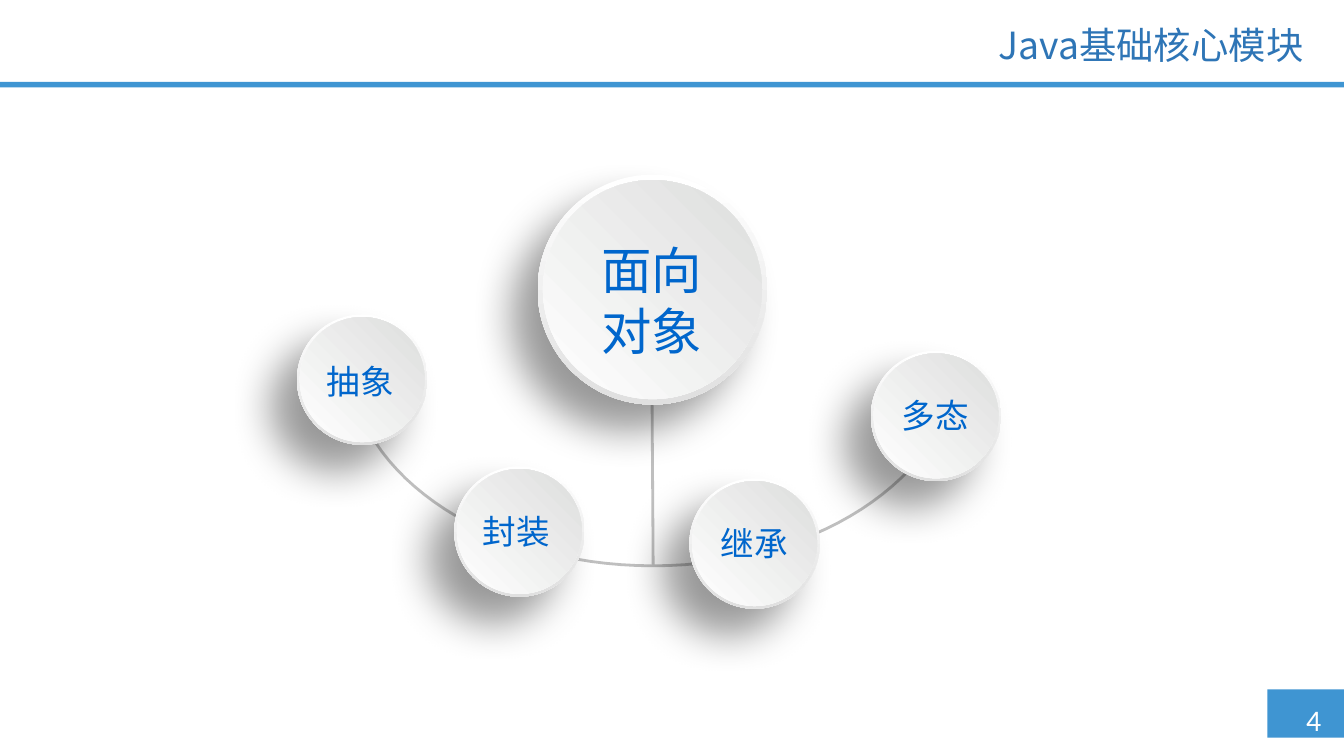
from pptx import Presentation
from pptx.dml.color import RGBColor
from pptx.enum.shapes import MSO_CONNECTOR as CONNECTOR, MSO_SHAPE as SHAPE
from pptx.enum.text import MSO_ANCHOR as ANCHOR, PP_ALIGN as ALIGN
from pptx.oxml import parse_xml
from pptx.oxml.ns import nsdecls, qn
from pptx.util import Inches, Pt

# Content
TITLE = "Java基础核心模块"
PAGE_NUMBER = "4"
# label, kind, disc left and top, label left and top
CONCEPTS = [
    ("面向对象", "hub", (4.00, 1.30), (4.31, 1.73)),
    ("抽象", "node", (2.21, 2.34), (2.14, 2.64)),
    ("封装", "node", (3.38, 3.47), (3.30, 3.75)),
    ("继承", "node", (5.13, 3.56), (5.07, 3.84)),
    ("多态", "node", (6.48, 2.61), (6.42, 2.89)),
]
DIAMETER = {"hub": 1.71, "node": 0.97}
RIM = {"hub": 0.04, "node": 0.02}
LABEL_WIDTH = 1.08
LABEL_HEIGHT = {"hub": 1.01, "node": 0.40}

# Right half of the hanging arc, as Bezier control points; the left mirrors it
ARC = [(6.97, 3.22), (6.64, 3.80), (5.82, 4.21), (4.86, 4.21)]
ARC_STEPS = 24
STEM_TOP = (4.85, 2.73)

THEME = {
    "font": "Noto Sans CJK SC", "number_font": "Calibri",
    "bar": "3F95D2", "title": "2E75B6", "label": "0066CC",
    "line": "BFBFBF", "white": "FFFFFF",
    "rim": ("FFFFFF", "E0E0E0"), "face": ("FFFFFF", "DDDEDD"),
    "size": {"title": 20, "hub": 27, "node": 18, "number": 16},
    "line_width": 1.5,
}


def rgb(name):
    return RGBColor.from_string(THEME[name])


def write(frame, text, size, color, align, font="font"):
    paragraph = frame.paragraphs[0]
    paragraph.alignment = align
    run = paragraph.add_run()
    run.text = text
    run.font.name = THEME[font]
    run.font.size = Pt(THEME["size"][size])
    run.font.color.rgb = rgb(color)
    east_asian = run.font._element.makeelement(qn("a:ea"), {"typeface": THEME[font]})
    run.font._element.find(qn("a:latin")).addnext(east_asian)
    return paragraph


def add_bar(shapes, left, top, width, height):
    bar = shapes.add_shape(SHAPE.RECTANGLE, *map(Inches, (left, top, width, height)))
    bar.shadow.inherit = False
    bar.fill.solid()
    bar.fill.fore_color.rgb = rgb("bar")
    bar.line.fill.background()


def add_disc(shapes, left, top, diameter, colors, angle):
    disc = shapes.add_shape(SHAPE.OVAL, *map(Inches, (left, top, diameter, diameter)))
    disc.shadow.inherit = False
    disc.line.fill.background()
    disc.fill.gradient()
    disc.fill.gradient_angle = angle
    for stop, color in zip(disc.fill.gradient_stops, THEME[colors]):
        stop.color.rgb = RGBColor.from_string(color)
    return disc


def cast_shadow(disc):
    effects = disc._element.spPr.find(qn("a:effectLst"))
    effects.append(parse_xml(
        f'<a:outerShdw {nsdecls("a")} blurRad="{Pt(22)}" dist="{Pt(20)}" '
        f'dir="{135 * 60000}" algn="tr" rotWithShape="0">'
        '<a:srgbClr val="000000"><a:alpha val="40000"/></a:srgbClr></a:outerShdw>'))


def bezier(points, t):
    weights = ((1 - t) ** 3, 3 * t * (1 - t) ** 2, 3 * t * t * (1 - t), t ** 3)
    return tuple(sum(w * p[axis] for w, p in zip(weights, points)) for axis in (0, 1))


def style_line(line):
    line.color.rgb = rgb("line")
    line.width = Pt(THEME["line_width"])


prs = Presentation()
prs.slide_width = Inches(10)
prs.slide_height = prs.slide_width * 9 // 16
slide = prs.slides.add_slide(prs.slide_layouts[5])
shapes = slide.shapes

# Title
title = shapes.title
title.left, title.top, title.width, title.height = map(Inches, (2.4, 0.15, 7.4, 0.41))
title.text_frame.vertical_anchor = ANCHOR.MIDDLE
write(title.text_frame, TITLE, "title", "title", ALIGN.RIGHT).line_spacing = 0.9

# Header rule and page number
add_bar(shapes, 9.43, 5.13, 0.57, 0.36)
add_bar(shapes, 0, 0.61, 10, 0.04)
number = shapes.add_textbox(*map(Inches, (9.62, 5.17, 0.38, 0.37)))
number.text_frame.word_wrap = False
write(number.text_frame, PAGE_NUMBER, "number", "white", ALIGN.LEFT, "number_font")

# Arc and stem
axis_x, arc_bottom = ARC[-1]
right_half = [bezier(ARC, step / ARC_STEPS) for step in range(ARC_STEPS + 1)]
left_half = [(2 * axis_x - x, y) for x, y in reversed(right_half[:-1])]
start, *rest = [(Inches(x), Inches(y)) for x, y in right_half + left_half]
builder = shapes.build_freeform(*start)
builder.add_line_segments(rest, close=False)
arc = builder.convert_to_shape()
arc.shadow.inherit = False
arc.fill.background()
style_line(arc.line)

stem = shapes.add_connector(CONNECTOR.STRAIGHT, *map(Inches, STEM_TOP + ARC[-1]))
stem._element.spPr.append(parse_xml(f'<a:effectLst {nsdecls("a")}/>'))
style_line(stem.line)

# Discs: a shaded rim under a face lit from the lower left
for _, kind, (left, top), _ in CONCEPTS:
    button = shapes.add_group_shape().shapes
    rim, diameter = RIM[kind], DIAMETER[kind]
    cast_shadow(add_disc(button, left, top, diameter, "rim", 270))
    add_disc(button, left + rim, top + rim, diameter - 2 * rim, "face", 45)

# Labels
for text, kind, _, (left, top) in CONCEPTS:
    label = shapes.add_textbox(*map(Inches, (left, top, LABEL_WIDTH, LABEL_HEIGHT[kind])))
    label.text_frame.word_wrap = True
    write(label.text_frame, text, kind, "label", ALIGN.CENTER)

prs.save("out.pptx")
